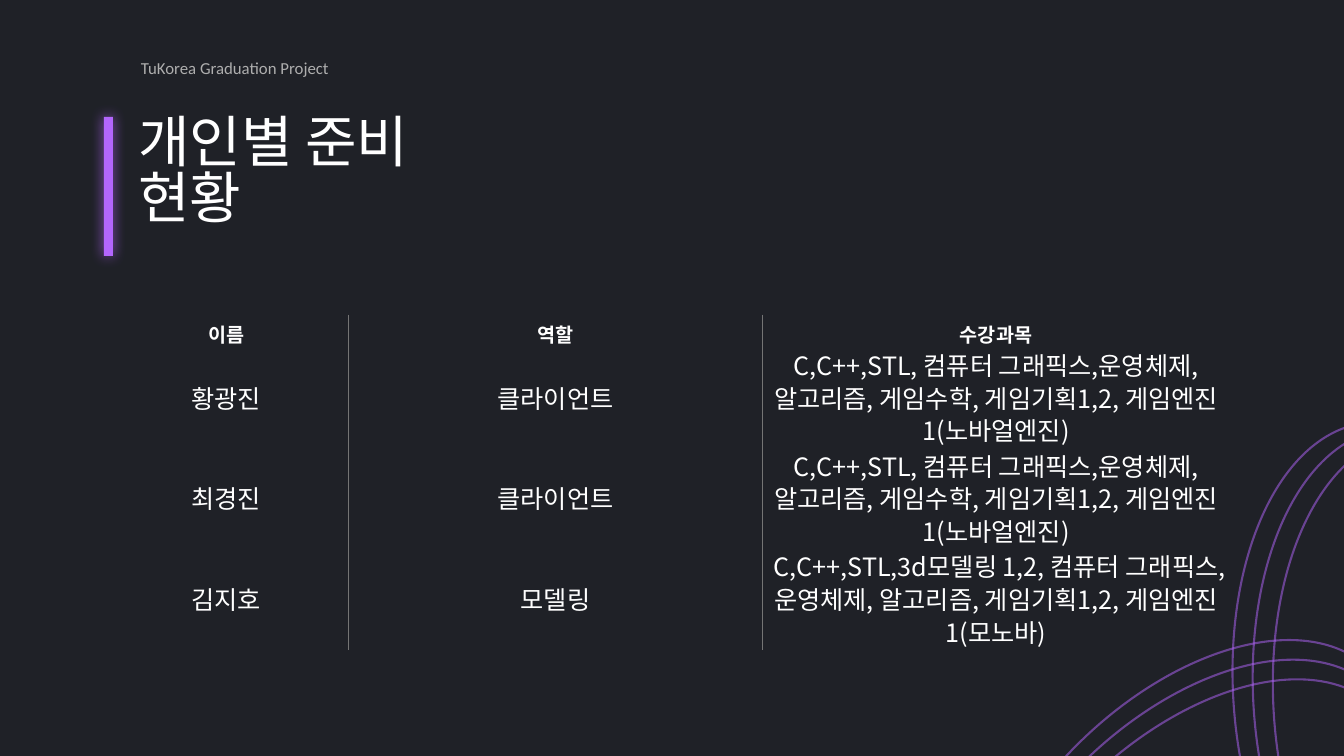
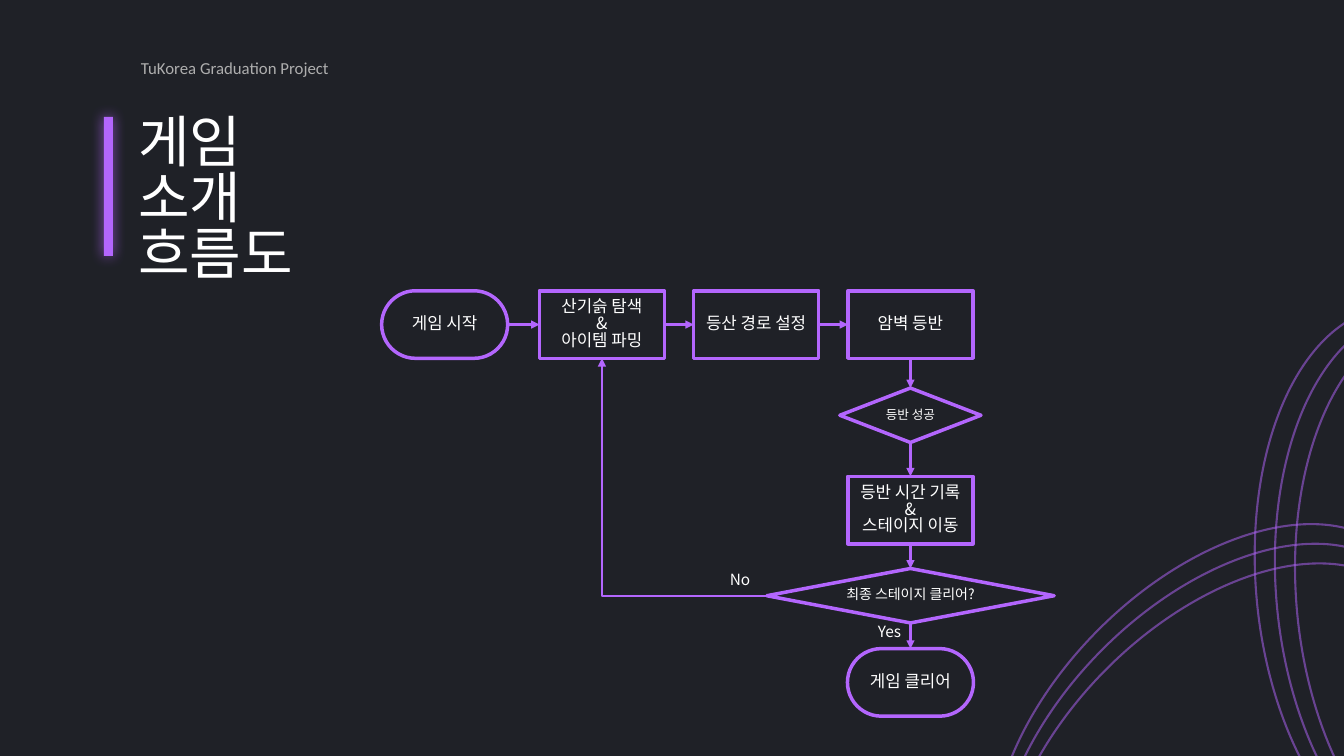
from lxml.etree import SubElement
from pptx import Presentation
from pptx.dml.color import RGBColor
from pptx.enum.shapes import MSO_CONNECTOR as LINE, MSO_SHAPE as SHAPE
from pptx.enum.text import MSO_ANCHOR as ANCHOR, MSO_AUTO_SIZE as FIT, PP_ALIGN as ALIGN
from pptx.oxml import parse_xml
from pptx.oxml.ns import nsdecls, qn
from pptx.util import Inches, Pt

COLORS = {
    "background": "1F2127",
    "accent": "B366FD",
    "text": "FFFFFF",
    "label": "AEAEAE",
    "rule": "747474",
}
RGB = {role: RGBColor.from_string(value) for role, value in COLORS.items()}
KOREAN = "Noto Sans CJK KR"
TIGHT = 0.83


def style_text(frame, size, color="text", font=KOREAN, bold=False,
               align=ALIGN.LEFT, spacing=1.0):
    for paragraph in frame.paragraphs:
        paragraph.alignment = align
        paragraph.line_spacing = spacing
        for run in paragraph.runs:
            run.font.size = Pt(size)
            run.font.bold = bold
            run.font.color.rgb = RGB[color]
            run.font.name = font
            SubElement(run.font._element, qn("a:ea")).set("typeface", font)


def join(slide, kind, start, start_side, end, end_side):
    arrow = slide.shapes.add_connector(kind, 0, 0, 0, 0)
    arrow.begin_connect(start, start_side)
    arrow.end_connect(end, end_side)
    arrow.line.color.rgb = RGB["accent"]
    arrow.line.width = Pt(1.5)
    SubElement(arrow.line._get_or_add_ln(), qn("a:tailEnd")).set("type", "triangle")
    SubElement(arrow._element.spPr, qn("a:effectLst"))
    return arrow


prs = Presentation()
prs.slide_width, prs.slide_height = Inches(13.33), Inches(7.5)
background = prs.slide_master.background.fill
background.solid()
background.fore_color.rgb = RGB["background"]

# Shared parts: title, header label, glowing bar, corner arcs
# Each page: title, title width, title height, shift of the arcs
pages = [
    ("개인별 준비 현황", 3.85, 1.45, 0, 0),
    ("게임 소개\n흐름도", 2.2, 2.1, 0.22, -1.15),
]
# Each family: left, top, step x, step y, width, height, rotation
arc_families = [
    (10.22, 5.89, 0.04, 0.195, 3.08, 5.2, 44.8),
    (12.24, 4.18, 0.2, 0.06, 3.18, 5.58, 354.5),
]
slides = []
for heading, width, height, shift_x, shift_y in pages:
    slide = prs.slides.add_slide(prs.slide_layouts[5])
    slides.append(slide)

    title = slide.shapes.title
    title.left, title.top = Inches(1.27), Inches(1.12)
    title.width, title.height = Inches(width), Inches(height)
    title.text_frame.text = heading
    title.text_frame.word_wrap = True
    title.text_frame.auto_size = FIT.NONE
    title.text_frame.vertical_anchor = ANCHOR.TOP
    style_text(title.text_frame, 40, spacing=TIGHT)

    project = slide.shapes.add_textbox(Inches(1.3), Inches(0.52), Inches(3.11), Inches(0.3))
    project.text_frame.word_wrap = True
    project.text_frame.text = "TuKorea Graduation Project"
    style_text(project.text_frame, 12, "label", "Calibri")

    bar = slide.shapes.add_shape(
        SHAPE.RECTANGLE, Inches(1.03), Inches(1.16), Inches(0.09), Inches(1.38))
    bar.fill.solid()
    bar.fill.fore_color.rgb = RGB["accent"]
    bar.line.fill.background()
    bar._element.spPr.append(parse_xml(
        f'<a:effectLst {nsdecls("a")}><a:outerShdw blurRad="{Pt(10)}" dist="0" dir="0" '
        f'algn="ctr" rotWithShape="0"><a:srgbClr val="{COLORS["accent"]}">'
        '<a:alpha val="70000"/></a:srgbClr></a:outerShdw></a:effectLst>'))

    for left, top, step_x, step_y, arc_width, arc_height, rotation in arc_families:
        for i in range(3):
            arc = slide.shapes.add_shape(
                SHAPE.ARC, Inches(left + shift_x + i * step_x),
                Inches(top + shift_y + i * step_y), Inches(arc_width), Inches(arc_height))
            arc.adjustments[0], arc.adjustments[1] = 162, 36.62
            arc.rotation = rotation
            arc._element.spPr.xfrm.set("flipH", "1")
            arc.shadow.inherit = False
            arc.fill.background()
            arc.line.color.rgb = RGB["accent"]
            arc.line.width = Pt(1.5)
            arc_color = arc._element.spPr.find(".//" + qn("a:srgbClr"))
            SubElement(arc_color, qn("a:alpha")).set("val", "50000")

status_slide, flow_slide = slides

# Slide 1: table of members
shared_subjects = ("C,C++,STL, 컴퓨터 그래픽스,운영체제, 알고리즘, 게임수학, "
                   "게임기획1,2, 게임엔진1(노바얼엔진)")
members = [
    ("이름", "역할", "수강과목"),
    ("황광진", "클라이언트", shared_subjects),
    ("최경진", "클라이언트", shared_subjects),
    ("김지호", "모델링", "C,C++,STL,3d모델링 1,2, 컴퓨터 그래픽스,운영체제, "
                      "알고리즘, 게임기획1,2, 게임엔진1(모노바)"),
]
member_table = status_slide.shapes.add_table(
    4, 3, Inches(1.03), Inches(3.12), Inches(11.17), Inches(3.33)).table
member_table.first_row = member_table.horz_banding = False
# "No Style, No Grid"
member_table._tbl.tblPr.find(qn("a:tableStyleId")).text = "{2D5ABB26-0587-4C30-8999-92F81FD0307C}"
for column, width in zip(member_table.columns, (2.43, 4.1, 4.64)):
    column.width = Inches(width)
for r, member in enumerate(members):
    is_header = r == 0
    member_table.rows[r].height = Inches(0.33 if is_header else 1)
    for c, entry in enumerate(member):
        cell = member_table.cell(r, c)
        cell.text = entry
        cell.fill.background()
        cell.margin_top = Inches(0.05 if is_header else 0)
        cell.margin_bottom = 0
        cell.vertical_anchor = ANCHOR.TOP if is_header else ANCHOR.MIDDLE
        style_text(cell.text_frame, 14 if is_header else 18, bold=is_header,
                   align=ALIGN.CENTER, spacing=1.0 if is_header else 0.9)
        # Rules only between the columns
        for side, inner in (("lnR", c < 2), ("lnL", c > 0)):
            if inner:
                cell._tc.get_or_add_tcPr().insert(0, parse_xml(
                    f'<a:{side} {nsdecls("a")} w="{Pt(1)}"><a:solidFill>'
                    f'<a:srgbClr val="{COLORS["rule"]}"/></a:solidFill></a:{side}>'))

# Slide 2: flow chart steps, placed by their centres
columns = [5.97 + 1.53 * i for i in range(3)]
top_row, last_column = 3.22, columns[-1]
box, decision, terminal = SHAPE.RECTANGLE, SHAPE.DIAMOND, SHAPE.ROUNDED_RECTANGLE
steps = [
    ("게임 시작", terminal, 4.41, top_row, 1.25, 0.67, 12),
    ("산기슭 탐색\n&\n아이템 파밍", box, columns[0], top_row, 1.24, 0.67, 12),
    ("등산 경로 설정", box, columns[1], top_row, 1.24, 0.67, 12),
    ("암벽 등반", box, columns[2], top_row, 1.24, 0.67, 12),
    ("등반 성공", decision, last_column, 4.12, 1.4, 0.54, 9),
    ("등반 시간 기록\n&\n스테이지 이동", box, last_column, 5.06, 1.24, 0.67, 12),
    ("최종 스테이지 클리어?", decision, last_column, 5.91, 2.85, 0.54, 10),
    ("게임 클리어", terminal, last_column, 6.77, 1.25, 0.67, 12),
]
nodes = []
for caption, outline, center_x, center_y, width, height, size in steps:
    node = flow_slide.shapes.add_shape(
        outline, Inches(center_x - width / 2), Inches(center_y - height / 2),
        Inches(width), Inches(height))
    if outline == terminal:
        node.adjustments[0] = 0.5
    node.shadow.inherit = False
    node.fill.background()
    node.line.color.rgb = RGB["accent"]
    node.line.width = Pt(2.5)
    frame = node.text_frame
    frame.text = caption
    frame.word_wrap = True
    frame.vertical_anchor = ANCHOR.MIDDLE
    frame.margin_left = frame.margin_right = frame.margin_top = frame.margin_bottom = 0
    style_text(frame, size, align=ALIGN.CENTER, spacing=TIGHT)
    nodes.append(node)

# Arrows: across the top row, then down the last column
for i, (step, following) in enumerate(zip(nodes, nodes[1:])):
    sides = (3, 1) if i < 3 else (2, 0)
    join(flow_slide, LINE.STRAIGHT, step, sides[0], following, sides[1])

# Return arrow from the final decision to exploration
retry = join(flow_slide, LINE.ELBOW, nodes[6], 1, nodes[1], 2)
retry._element.spPr.find(qn("a:prstGeom")).set("prst", "bentConnector2")

# Answers of the final decision
for answer, left, top in (("Yes", 8.61, 6.12), ("No", 7.14, 5.61)):
    answer_box = flow_slide.shapes.add_textbox(
        Inches(left), Inches(top), Inches(0.44), Inches(0.29))
    answer_box.text_frame.word_wrap = False
    answer_box.text_frame.text = answer
    style_text(answer_box.text_frame, 11)

prs.save("out.pptx")
